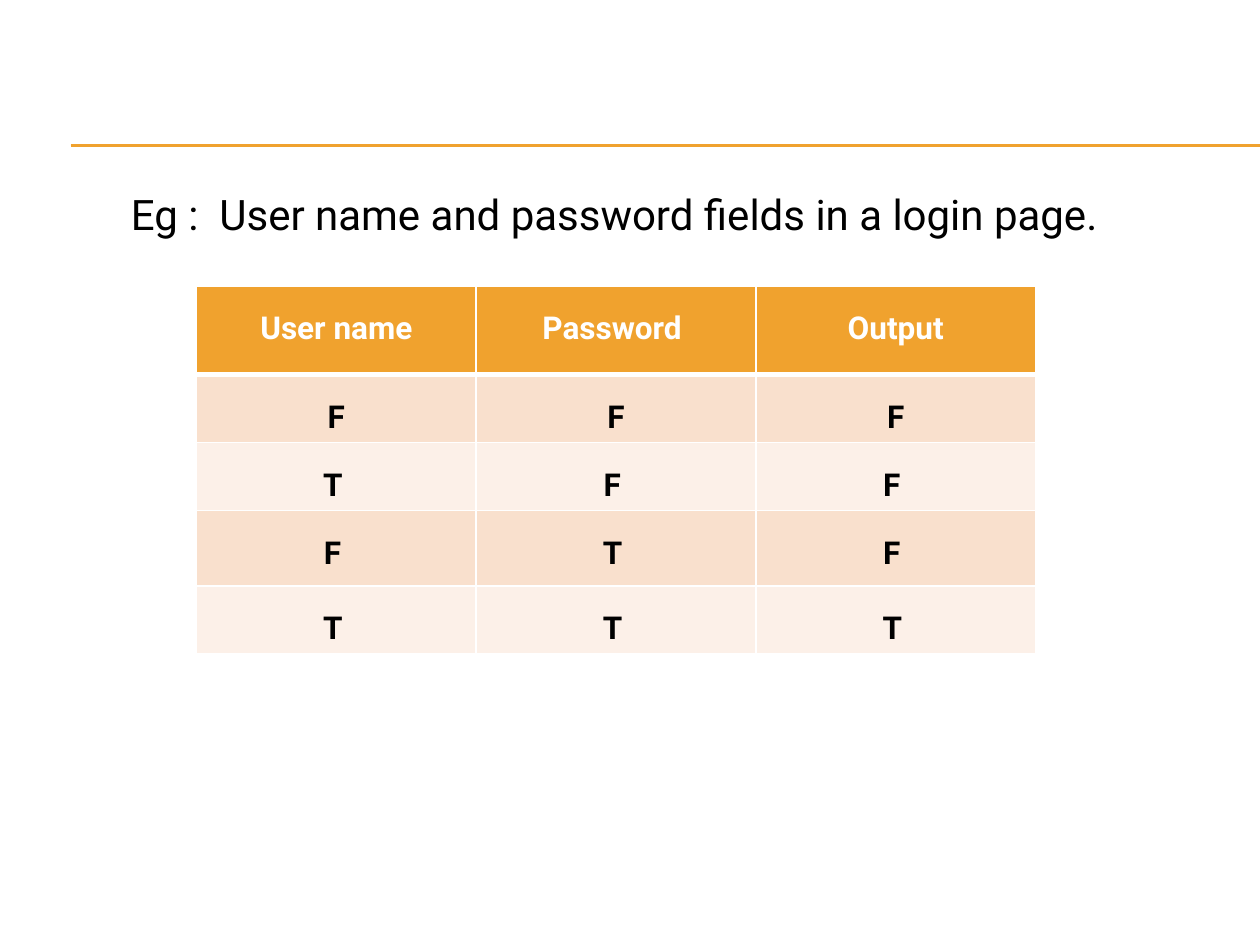
from lxml.etree import SubElement
from pptx import Presentation
from pptx.dml.color import RGBColor
from pptx.enum.shapes import MSO_CONNECTOR
from pptx.enum.text import MSO_AUTO_SIZE, PP_ALIGN
from pptx.oxml.ns import qn
from pptx.util import Inches, Pt

COLORS = {
    "accent": "F0A22E",
    "dark_band": "F9E0CD",
    "light_band": "FCF0E8",
    "white": "FFFFFF",
    "black": "000000",
}
FONT = "Roboto"


def style_paragraph(p, size, color, bold=False):
    p.line_spacing = 1.5
    p.font.name = FONT
    p.font.size = Pt(size)
    p.font.bold = bold
    p.font.color.rgb = RGBColor.from_string(COLORS[color])


def set_borders(cell, bottom_width):
    """Draw white cell borders, 1 pt except for the bottom one."""
    tcPr = cell._tc.get_or_add_tcPr()
    for side, width in (("L", 1), ("R", 1), ("T", 1), ("B", bottom_width)):
        ln = SubElement(tcPr, qn(f"a:ln{side}"), w=str(Pt(width)))
        fill = SubElement(ln, qn("a:solidFill"))
        SubElement(fill, qn("a:srgbClr"), val=COLORS["white"])


prs = Presentation()
prs.slide_width, prs.slide_height = Inches(10), Inches(7.5)
s = prs.slides.add_slide(prs.slide_layouts[6])

# Double rule under the title area
for y in (1.15, 1.16):
    rule = s.shapes.add_connector(
        MSO_CONNECTOR.STRAIGHT, Inches(0.56), Inches(y), Inches(10), Inches(y))
    rule.line.color.rgb = RGBColor.from_string(COLORS["accent"])
    rule.line.width = Pt(0.75)
    SubElement(rule._element.spPr, qn("a:effectLst"))

# Truth table
rows = [
    ("User name", "Password ", "Output"),
    ("F", "F", "F"),
    ("T ", "F ", "F "),
    ("F ", "T ", "F "),
    ("T ", "T ", "T "),
]
row_heights = [0.7, 0.54, 0.54, 0.6, 0.54]
table = s.shapes.add_table(
    len(rows), 3, Inches(1.56), Inches(2.27), Inches(6.66), Inches(sum(row_heights))).table
for col in table.columns:
    col.width = Inches(2.22)

for i, (values, height) in enumerate(zip(rows, row_heights)):
    table.rows[i].height = Inches(height)
    header = i == 0
    band = "accent" if header else "dark_band" if i % 2 else "light_band"
    for j, value in enumerate(values):
        cell = table.cell(i, j)
        set_borders(cell, 3 if header else 1)
        cell.fill.solid()
        cell.fill.fore_color.rgb = RGBColor.from_string(COLORS[band])
        cell.text = value
        p = cell.text_frame.paragraphs[0]
        p.alignment = PP_ALIGN.CENTER
        style_paragraph(p, 18, "white" if header else "black", bold=True)

# Example sentence
sp = s.shapes.add_textbox(Inches(0.94), Inches(1.25), Inches(7.89), Inches(0.63))
tf = sp.text_frame
tf.word_wrap = False
tf.auto_size = MSO_AUTO_SIZE.SHAPE_TO_FIT_TEXT
tf.text = "Eg :  User name and password fields in a login page."
style_paragraph(tf.paragraphs[0], 24, "black")

prs.save("out.pptx")
